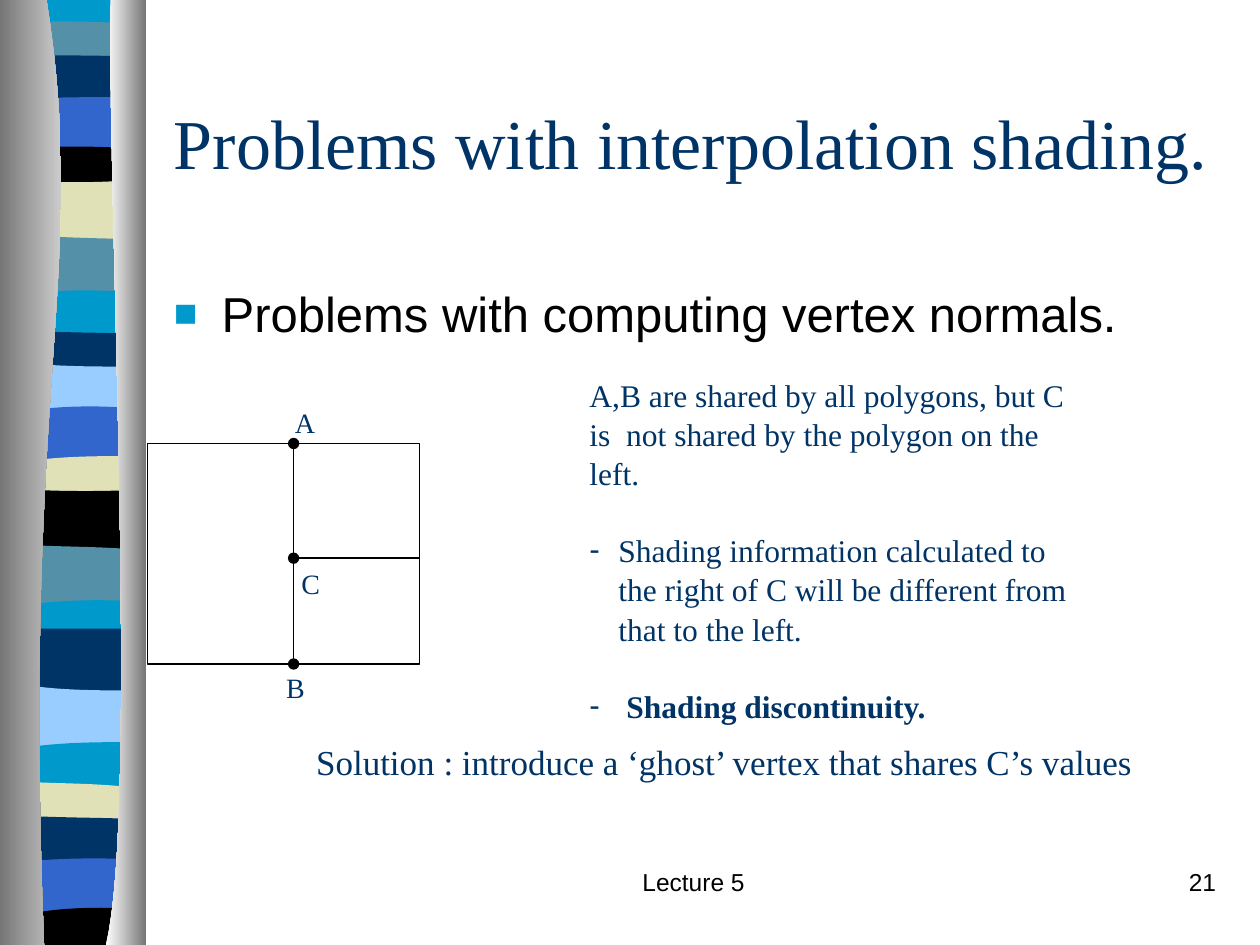
from pptx import Presentation
from pptx.dml.color import RGBColor
from pptx.enum.shapes import MSO_SHAPE
from pptx.enum.text import MSO_ANCHOR, MSO_AUTO_SIZE, PP_ALIGN
from pptx.oxml import parse_xml
from pptx.oxml.ns import nsdecls
from pptx.util import Inches, Pt

LEFT, MID, RIGHT = PP_ALIGN.LEFT, PP_ALIGN.CENTER, PP_ALIGN.RIGHT
RECT, OVAL = MSO_SHAPE.RECTANGLE, MSO_SHAPE.OVAL
SERIF, SANS = "Times New Roman", "Arial"
WIDE, HIGH = 10, 7.5
NAVY, CYAN, TEAL, BLUE = "003366", "0099CC", "5490A8", "3366CC"
SAND, SKY, BLACK, WHITE = "E1E1B7", "99CCFF", "000000", "FFFFFF"

TITLE = "Problems with interpolation shading."
POINT = "Problems with computing vertex normals."
NOTES = [  # text, bullet, bold
    ("A,B are shared by all polygons, but C is  not shared by the polygon on the left.", None, False),
    ("Shading information calculated to the right of C will be different from that to the left.", "-", False),
    (" Shading discontinuity.", "-", True),
]
# text, box, size, font, colour, alignment, wrap
LABELS = [
    ("Lecture 5", (3.92, 6.83, 3.17, 0.5), 14, SANS, BLACK, MID, True),
    ("21", (7.67, 6.83, 2.08, 0.5), 14, SANS, BLACK, RIGHT, True),
    ("Solution : introduce a ‘ghost’ vertex that shares C’s values",
     (2.41, 5.83, 6.78, 0.44), 20, SERIF, NAVY, LEFT, False),
    ("A", (2.24, 3.17, 0.36, 0.37), 16, SERIF, NAVY, MID, False),
    ("B", (2.17, 5.27, 0.35, 0.37), 16, SERIF, NAVY, MID, False),
    ("C", (2.29, 4.45, 0.35, 0.37), 16, SERIF, NAVY, MID, False),
]
# Ribbon bands: colour, then height of the top edge at left, middle, right
BANDS = [
    (CYAN, 0, 0, 0), (TEAL, 0.17, 0.17, 0.19), (NAVY, 0.44, 0.44, 0.45),
    (BLUE, 0.78, 0.77, 0.77), (BLACK, 1.17, 1.16, 1.18), (SAND, 1.44, 1.45, 1.43),
    (TEAL, 1.87, 1.89, 1.9), (CYAN, 2.32, 2.3, 2.32), (NAVY, 2.63, 2.64, 2.65),
    (SKY, 2.89, 2.91, 2.91), (BLUE, 3.25, 3.22, 3.24), (SAND, 3.65, 3.62, 3.62),
    (BLACK, 3.89, 3.9, 3.89), (TEAL, 4.33, 4.34, 4.36), (CYAN, 4.79, 4.76, 4.77),
    (NAVY, 4.99, 4.99, 4.99), (SKY, 5.45, 5.48, 5.48), (CYAN, 5.92, 5.89, 5.89),
    (SAND, 6.21, 6.22, 6.25), (NAVY, 6.48, 6.49, 6.5), (BLUE, 6.83, 6.81, 6.82),
    (BLACK, 7.24, 7.2, 7.21),
]
# Metal strips: straight edge x, wavy edge as a Bezier, gradient from left to right
STRIPS = [
    (0, [(0.37, 0), (0.71, 2.16), (0.17, 2.96), (0.35, HIGH)], ("767676", "CCCCCC")),
    (1.16, [(0.88, 0), (0.84, 1.25), (1.11, 6.46), (0.84, HIGH)], (WHITE, "767676")),
]
# Figure grid lines
COLS, ROWS, DOT = (1.17, 2.33, 3.33), (3.52, 4.43, 5.27), 0.08
CELLS = [(1, 0, 2, 1), (1, 1, 2, 2), (0, 0, 1, 2)]  # from column, row to column, row

deck = Presentation()
deck.slide_width, deck.slide_height = Inches(WIDE), Inches(HIGH)
slide = deck.slides.add_slide(deck.slide_layouts[1])
shapes = slide.shapes


def hue(code):
    return RGBColor.from_string(code)


def place(shape, box):
    shape.left, shape.top, shape.width, shape.height = map(Inches, box)


def style(para, size, font, color, align=LEFT, bold=False):
    para.alignment = align
    face = para.font
    face.size, face.name, face.bold = Pt(size), font, bold
    face.color.rgb = hue(color)


def bullet(para, char, color, indent, share=100):
    props = para._p.get_or_add_pPr()
    props.set("marL", str(Inches(indent)))
    props.set("indent", str(-Inches(indent)))
    for part in (f'buClr {nsdecls("a")}><a:srgbClr val="{color}"/></a:buClr',
                 f'buSzPct {nsdecls("a")} val="{share * 1000}"/',
                 f'buFont {nsdecls("a")} typeface="{SANS}"/',
                 f'buChar {nsdecls("a")} char="{char}"/'):
        props.append(parse_xml(f"<a:{part}>"))


def textbox(box, wrap):
    frame = shapes.add_textbox(*map(Inches, box)).text_frame
    frame.word_wrap = wrap
    return frame


def outline(points):
    spots = [(Inches(x), Inches(y)) for x, y in points]
    pen = shapes.build_freeform(*spots[0])
    pen.add_line_segments(spots[1:], close=True)
    shape = pen.convert_to_shape()
    shape.shadow.inherit = False
    shape.line.fill.background()
    return shape


def curve(a, b, c, d, steps=32):
    for step in range(steps + 1):
        t = step / steps
        u = 1 - t
        yield tuple(u**3 * p + 3 * u * u * t * q + 3 * u * t * t * r + t**3 * s
                    for p, q, r, s in zip(a, b, c, d))


def solid(kind, box, color):
    shape = shapes.add_shape(kind, *map(Inches, box))
    shape.shadow.inherit = False
    shape.fill.solid()
    shape.fill.fore_color.rgb = hue(color)
    shape.line.color.rgb = hue(BLACK)
    shape.line.width = Pt(0.75)


# Ribbon: each band runs a little under the next one
near, far = 0.3, 1.05
ends = [min(band[1:]) + 0.1 for band in BANDS[1:]] + [HIGH]
for (color, left, mid, right), end in zip(BANDS, ends):
    third = (far - near) / 3
    top = curve((near, left), (near + third, mid), (far - third, mid), (far, right), 12)
    band = outline([*top, (far, end), (near, end)])
    band.fill.solid()
    band.fill.fore_color.rgb = hue(color)

# Metal strips over both sides of the ribbon
for side, wave, tones in STRIPS:
    strip = outline([*curve(*wave), (side, HIGH), (side, 0)])
    strip.fill.gradient()
    strip.fill.gradient_angle = 0
    for stop, tone in zip(strip.fill.gradient_stops, tones):
        stop.color.rgb = hue(tone)

# Title and list
title, body = shapes.title, slide.placeholders[1]
place(title, (1.28, 0.5, 8.5, 1.25))
place(body, (1.28, 2.2, 8.5, 0.96))
for shape, text in ((title, TITLE), (body, POINT)):
    shape.text_frame.text = text
    shape.text_frame.auto_size = MSO_AUTO_SIZE.NONE
title.text_frame.vertical_anchor = MSO_ANCHOR.MIDDLE
style(title.text_frame.paragraphs[0], 40, SERIF, NAVY)
item = body.text_frame.paragraphs[0]
item.space_before = Pt(0)
bullet(item, "■", CYAN, 0.38, 80)
style(item, 28, SANS, BLACK)

# Notes beside the figure
frame = textbox((4.58, 2.92, 4.11, 2.8), True)
for place_no, (text, mark, bold) in enumerate(NOTES):
    para = frame.add_paragraph() if place_no else frame.paragraphs[0]
    para.text = text
    para.line_spacing = 1.04
    para.space_before = Pt(21.5 if place_no else 0)
    if mark:
        bullet(para, mark, NAVY, 0.23)
    style(para, 18, SERIF, NAVY, bold=bold)

# Polygons and their shared vertices
for c, r, c2, r2 in CELLS:
    solid(RECT, (COLS[c], ROWS[r], COLS[c2] - COLS[c], ROWS[r2] - ROWS[r]), WHITE)
for y in ROWS:
    solid(OVAL, (COLS[1] - DOT / 2, y - DOT / 2, DOT, DOT), BLACK)

# Single-line labels
for text, box, size, font, color, align, wrap in LABELS:
    para = textbox(box, wrap).paragraphs[0]
    para.text = text
    style(para, size, font, color, align)

deck.save("out.pptx")
